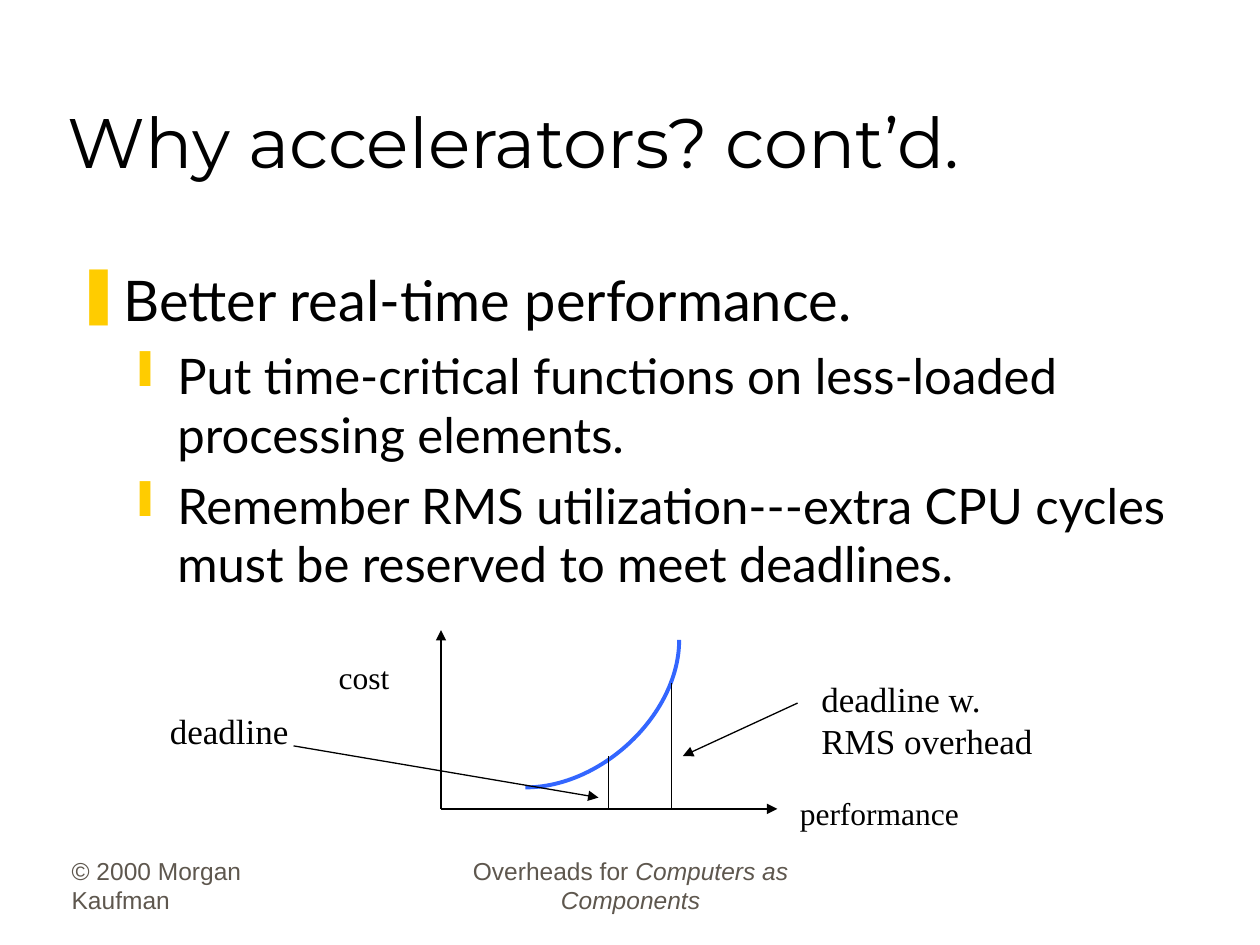
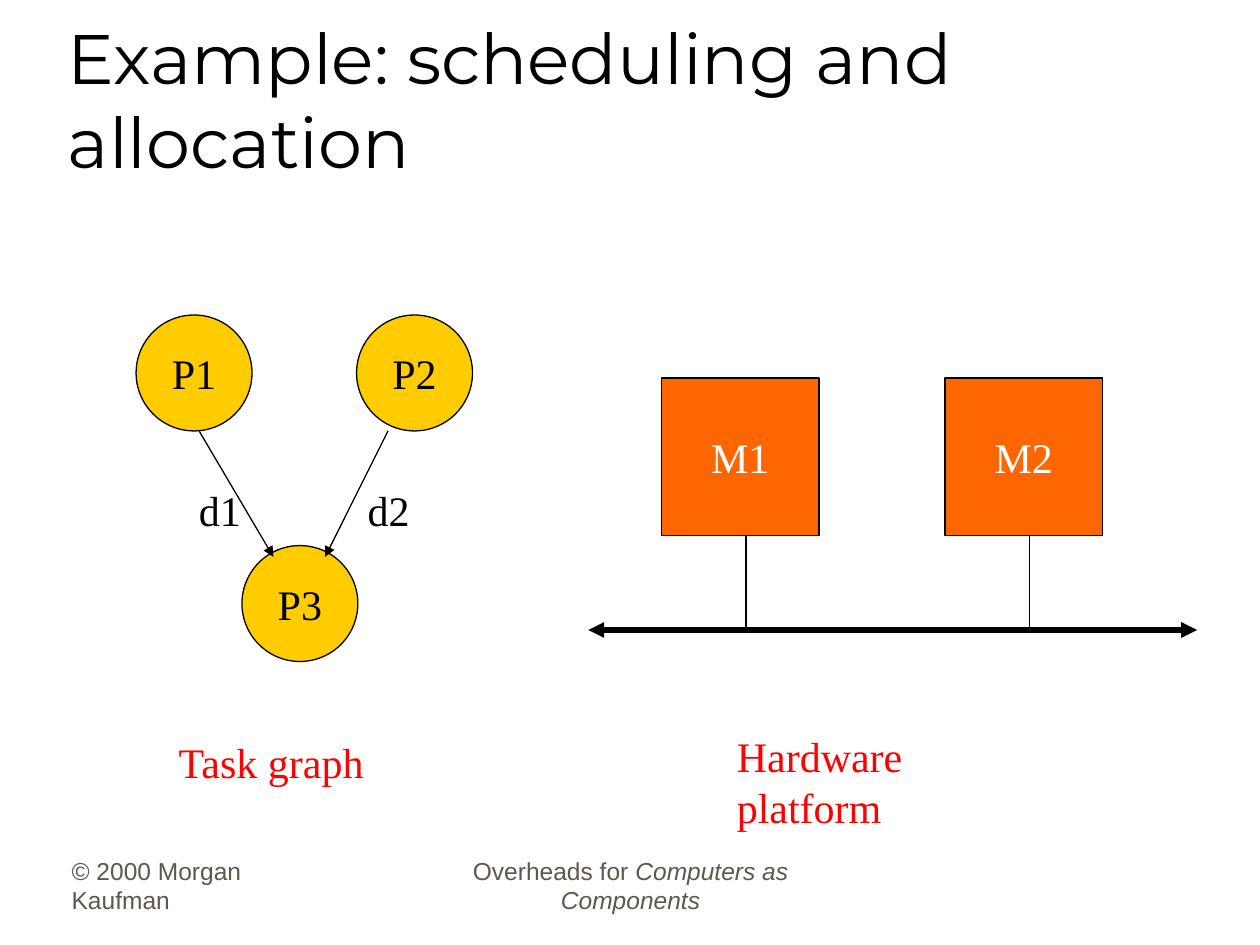
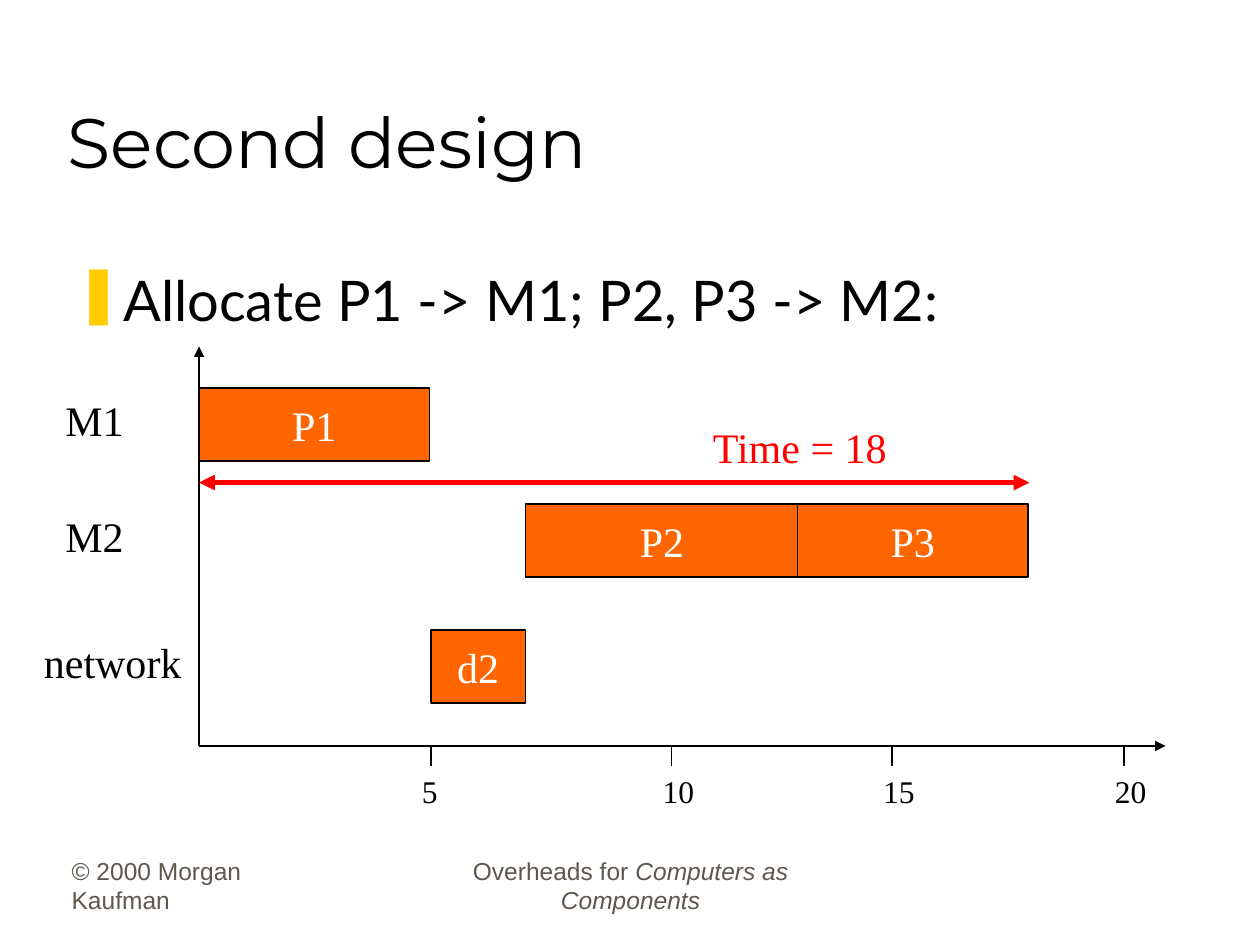
from dataclasses import dataclass
from typing import Any

from lxml import etree
from pptx import Presentation
from pptx.dml.color import RGBColor
from pptx.enum.shapes import MSO_CONNECTOR, MSO_SHAPE
from pptx.enum.text import MSO_ANCHOR, PP_ALIGN
from pptx.oxml.ns import qn
from pptx.util import Inches, Pt

STRAIGHT, CURVE = MSO_CONNECTOR.STRAIGHT, MSO_CONNECTOR.CURVE
OVAL, RECTANGLE = MSO_SHAPE.OVAL, MSO_SHAPE.RECTANGLE
TOP, MIDDLE, BOTTOM = MSO_ANCHOR.TOP, MSO_ANCHOR.MIDDLE, MSO_ANCHOR.BOTTOM
LEFT, CENTER = PP_ALIGN.LEFT, PP_ALIGN.CENTER


class Theme:
    # Colours
    ink, white, red = "000000", "FFFFFF", "FF0000"
    yellow, orange, blue, footer = "FFCC00", "FF6600", "3366FF", "5E574E"
    # Fonts
    title_font, body_font = "Montserrat", "Lato"
    label_font, footer_font = "Times New Roman", "Arial"
    # Type sizes and line widths in points
    title_size, footer_size = 40, 14
    small, medium, large = 18, 20, 24
    thin, curve, thick = 0.75, 2.25, 3
    # Body levels: size, left margin, hanging indent, space before, bullet
    levels = ((32, 0.38, 0.38, 8, "❚"), (28, 0.81, 0.31, 7, "❙"))


def colour(code):
    return RGBColor.from_string(code)


def add_span(para, text, size, font, code, italic=False):
    span = para.add_run()
    span.text = text
    span.font.size = Pt(size)
    span.font.name = font
    span.font.color.rgb = colour(code)
    if italic:
        span.font.italic = True


def next_para(frame, index):
    return frame.add_paragraph() if index else frame.paragraphs[0]


@dataclass
class Panel:
    """A region of a page; its parts are placed from its top left corner."""
    page: Any
    left: float
    top: float

    def point(self, x, y):
        return Inches(self.left + x), Inches(self.top + y)

    def frame(self, x, y, width, height, anchor=TOP, wrap=True):
        box = self.page.shapes.add_textbox(
            *self.point(x, y), Inches(width), Inches(height))
        box.text_frame.word_wrap = wrap
        box.text_frame.vertical_anchor = anchor
        return box.text_frame

    def label(self, x, y, width, text, size=Theme.large, code=Theme.ink):
        lines = text.split("\n")
        height = len(lines) * size * 1.2 / 72 + 0.1
        frame = self.frame(x, y, width, height, wrap=False)
        for index, line in enumerate(lines):
            add_span(next_para(frame, index), line, size,
                     Theme.label_font, code)

    def node(self, kind, x, y, width, height, text, fill, text_code):
        shape = self.page.shapes.add_shape(
            kind, *self.point(x, y), Inches(width), Inches(height))
        shape.shadow.inherit = False
        shape.fill.solid()
        shape.fill.fore_color.rgb = colour(fill)
        shape.line.color.rgb = colour(Theme.ink)
        shape.line.width = Pt(Theme.thin)
        frame = shape.text_frame
        frame.word_wrap = False
        frame.vertical_anchor = MIDDLE
        para = frame.paragraphs[0]
        para.alignment = CENTER
        add_span(para, text, Theme.large, Theme.label_font, text_code)

    def line(self, start, end, code=Theme.ink, width=Theme.thin,
             arrows=(), kind=STRAIGHT):
        connector = self.page.shapes.add_connector(
            kind, *self.point(*start), *self.point(*end))
        connector.line.color.rgb = colour(code)
        connector.line.width = Pt(width)
        outline = connector.line._get_or_add_ln()
        for end_name in arrows:
            etree.SubElement(outline, qn(f"a:{end_name}"), type="triangle")
        etree.SubElement(connector._element.spPr, qn("a:effectLst"))
        return connector

    def arrow(self, start, end):
        self.line(start, end, arrows=("tailEnd",))

    def double_arrow(self, start, end, code):
        self.line(start, end, code, Theme.thick, ("headEnd", "tailEnd"))

    def axes(self, x, y, right):
        self.arrow((x, y), (right, y))
        self.arrow((x, y), (x, 0))


def add_footer(panel, width, spans, alignment):
    para = panel.frame(0, 0, width, 0.5, BOTTOM).paragraphs[0]
    para.alignment = alignment
    for text, italic in spans:
        add_span(para, text, Theme.footer_size, Theme.footer_font,
                 Theme.footer, italic)


def add_page(deck, title):
    page = deck.slides.add_slide(deck.slide_layouts[6])
    # Footers
    add_footer(Panel(page, 0.47, 6.81), 2.08,
               [("© 2000 Morgan Kaufman", False)], LEFT)
    add_footer(Panel(page, 3.42, 6.81), 3.17,
               [("Overheads for ", False), ("Computers as Components", True)],
               CENTER)
    # Title
    frame = Panel(page, 0.44, 0.25).frame(0, 0, 8.5, 1.25, BOTTOM)
    add_span(frame.paragraphs[0], title, Theme.title_size,
             Theme.title_font, Theme.ink)
    return page


def add_body(panel, height, items):
    frame = panel.frame(0, 0, 8.94, height)
    for index, (level, text) in enumerate(items):
        size, margin, hanging, space, bullet = Theme.levels[level]
        para = next_para(frame, index)
        para.level = level
        props = para._p.get_or_add_pPr()
        props.set("marL", str(Inches(margin)))
        props.set("indent", str(-Inches(hanging)))
        tint = etree.SubElement(props, qn("a:buClr"))
        etree.SubElement(tint, qn("a:srgbClr"), val=Theme.yellow)
        etree.SubElement(props, qn("a:buChar"), char=bullet)
        if index:
            para.space_before = Pt(space)
        add_span(para, text, size, Theme.body_font, Theme.ink)


def add_cost_curve(panel):
    base = 1.42
    panel.axes(2.25, base, 4.92)
    panel.label(1.34, 0.17, 0.6, "cost", Theme.small)
    panel.label(5, 1.25, 1.46, "performance", Theme.small)
    # Cost rising with performance
    curve = panel.line((2.92, 1.25), (4.14, 0.08), Theme.blue, Theme.curve,
                       kind=CURVE)
    curve._element.spPr.find(qn("a:prstGeom")).set("prst", "curvedConnector2")
    # Deadlines
    for x, top in ((3.58, 1), (4.08, 0.42)):
        panel.line((x, top), (x, base))
    panel.arrow((1.08, 0.92), (3.5, 1.33))
    panel.arrow((5.08, 0.58), (4.17, 1))
    panel.label(0, 0.58, 1.14, "deadline", Theme.medium)
    panel.label(5.17, 0.33, 1.88, "deadline w.\nRMS overhead", Theme.medium)


def add_task_graph(panel):
    size = 0.92
    for text, x, y in (("P1", 0, 0), ("P2", 1.75, 0), ("P3", 0.84, 1.83)):
        panel.node(OVAL, x, y, size, size, text, Theme.yellow, Theme.ink)
    # Data passed between processes
    for text, x, start, end in (("d1", 0.4, 0.5, 1.09),
                                ("d2", 1.74, 2, 1.5)):
        panel.arrow((start, size), (end, size + 1))
        panel.label(x, 1.3, 0.53, text)
    panel.label(0.24, 3.3, 1.69, "Task graph", code=Theme.red)


def add_hardware_platform(panel):
    size, pitch, bus = 1.25, 2.25, 2
    for index, text in enumerate(("M1", "M2")):
        x = 0.58 + index * pitch
        panel.node(RECTANGLE, x, 0, size, size, text,
                   Theme.orange, Theme.white)
        panel.line((x + 0.67, size), (x + 0.67, bus))
    panel.double_arrow((0, bus), (4.83, bus), Theme.ink)
    panel.label(1.08, 2.75, 2.74, "Hardware platform", code=Theme.red)


def add_schedule(panel):
    origin, base = 1.33, 3.17
    panel.axes(origin, base, 9)
    # Time ticks
    for time, x in ((5, 3.17), (10, 5.08), (15, 6.83), (20, 8.67)):
        panel.line((x, base), (x, base + 0.16))
        panel.label(x - 0.17, base + 0.16, 0.32 if time < 10 else 0.45,
                    str(time), Theme.small)
    # Rows: name, left, width, top, bars
    rows = (
        ("M1", 0.17, 0.66, 0.33, [("P1", origin, 1.83)]),
        ("M2", 0.17, 0.66, 1.25, [("P2", 3.92, 2.17), ("P3", 6.08, 1.83)]),
        ("network", 0, 1.29, 2.25, [("d2", 3.17, 0.75)]),
    )
    for name, left, width, top, bars in rows:
        panel.label(left, top, width, name)
        for text, x, length in bars:
            panel.node(RECTANGLE, x, top, length, 0.58, text,
                       Theme.orange, Theme.white)
    # Total time
    panel.double_arrow((origin, 1.08), (7.92, 1.08), Theme.red)
    panel.label(5.31, 0.55, 1.59, "Time = 18", code=Theme.red)


def main():
    deck = Presentation()
    deck.slide_width, deck.slide_height = Inches(10), Inches(7.5)

    page = add_page(deck, "Why accelerators? cont’d.")
    add_body(Panel(page, 0.5, 2.06), 4.56, [
        (0, "Better real-time performance."),
        (1, "Put time-critical functions on less-loaded processing elements."),
        (1, "Remember RMS utilization---extra CPU cycles must be reserved "
            "to meet deadlines."),
    ])
    add_cost_curve(Panel(page, 1.25, 5))

    page = add_page(deck, "Example: scheduling and allocation")
    add_task_graph(Panel(page, 1.08, 2.5))
    add_hardware_platform(Panel(page, 4.67, 3))

    page = add_page(deck, "Second design")
    add_body(Panel(page, 0.5, 2.06), 0.69,
             [(0, "Allocate P1 -> M1; P2, P3 -> M2:")])
    add_schedule(Panel(page, 0.25, 2.75))

    deck.save("out.pptx")


if __name__ == "__main__":
    main()
